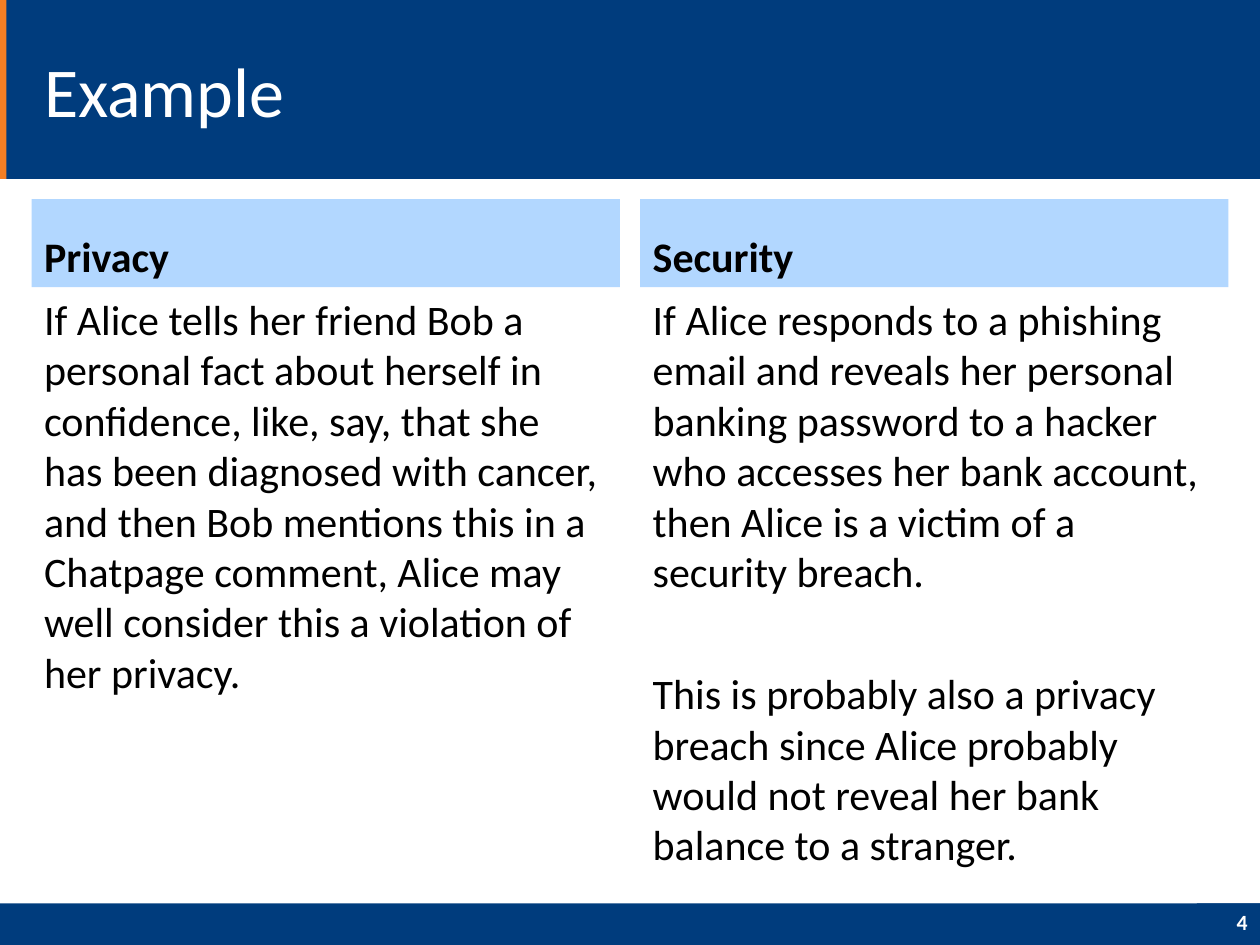
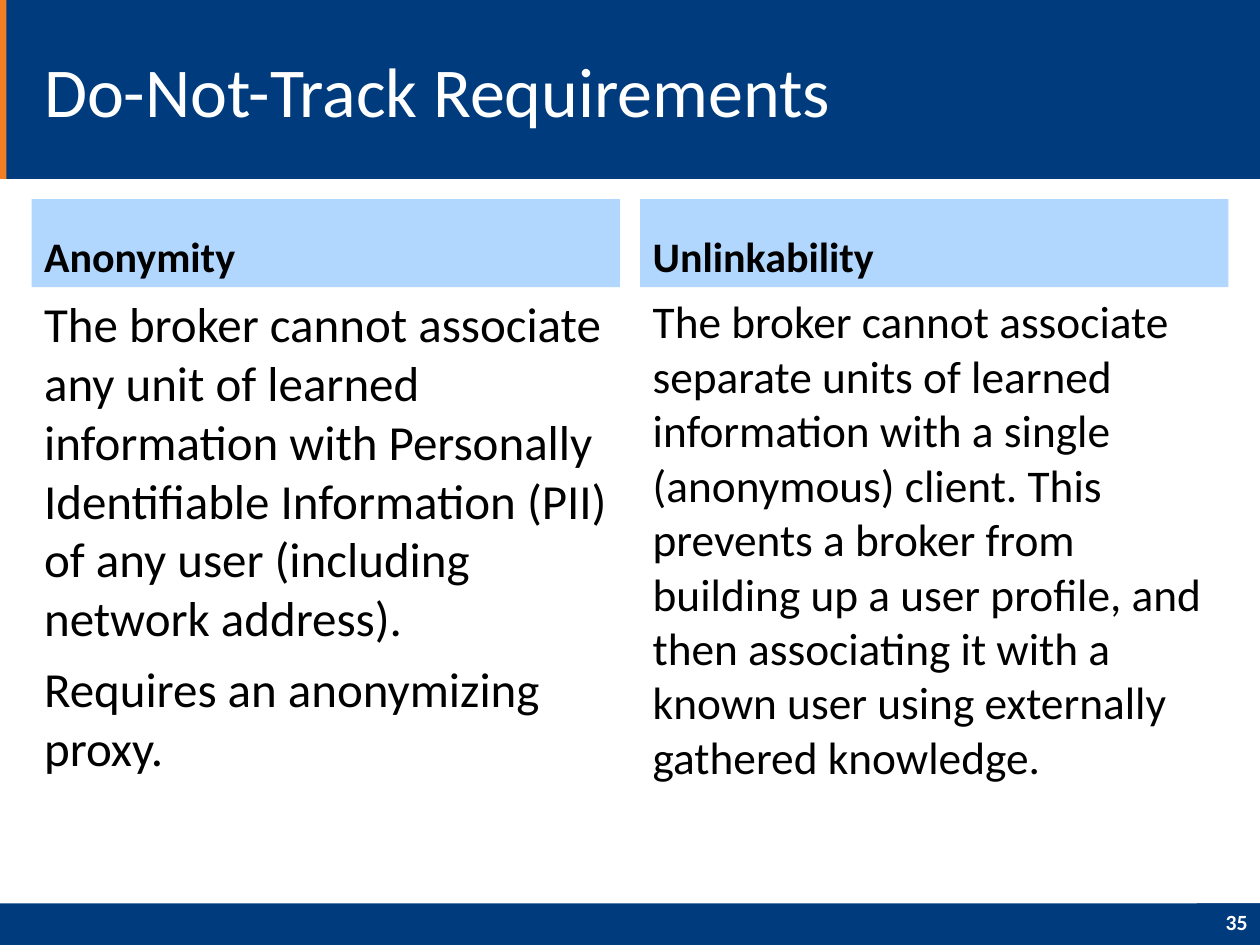
from dataclasses import dataclass

from lxml.etree import SubElement
from pptx import Presentation
from pptx.dml.color import RGBColor
from pptx.enum.shapes import MSO_SHAPE
from pptx.enum.text import MSO_ANCHOR, MSO_AUTO_SIZE, PP_ALIGN
from pptx.oxml.ns import qn
from pptx.util import Inches, Pt


@dataclass(frozen=True)
class Theme:
    font: str = "Calibri"
    navy: RGBColor = RGBColor(0x00, 0x3C, 0x7D)
    orange: RGBColor = RGBColor(0xF4, 0x7F, 0x24)
    pale_blue: RGBColor = RGBColor(0xB2, 0xD7, 0xFF)
    white: RGBColor = RGBColor(0xFF, 0xFF, 0xFF)
    black: RGBColor = RGBColor(0x00, 0x00, 0x00)
    title_size: float = 40
    heading_size: float = 24
    number_size: float = 12.4


WIDTH, HEIGHT = 10, 7.5
HEADER_HEIGHT, FOOTER_HEIGHT = 1.42, 0.33
FOOTER_TOP = HEIGHT - FOOTER_HEIGHT
MARGIN, COLUMN_WIDTH = 0.25, 4.67
COLUMN_LEFTS = (MARGIN, WIDTH - MARGIN - COLUMN_WIDTH)
HEADING_TOP, HEADING_HEIGHT = 1.58, 0.7
BODY_TOP, BODY_HEIGHT = HEADING_TOP + HEADING_HEIGHT, 4.72
COMPARISON_LAYOUT = 4


class DeckBuilder:
    def __init__(self, theme):
        self.theme = theme
        self.deck = Presentation()
        self.deck.slide_width = Inches(WIDTH)
        self.deck.slide_height = Inches(HEIGHT)
        self.page = None

    def start_page(self):
        self.page = self.deck.slides.add_slide(self.deck.slide_layouts[COMPARISON_LAYOUT])
        if len(self.deck.slides) == 1:
            self.master_bands()

    def master_bands(self):
        bands = [
            self.band(0, FOOTER_TOP, WIDTH, FOOTER_HEIGHT, self.theme.navy),
            self.band(0, 0, WIDTH, HEADER_HEIGHT, self.theme.navy),
            self.band(0, 0, 0.05, HEADER_HEIGHT, self.theme.orange),
        ]
        master_tree = self.deck.slide_master.shapes.element
        for position, band in enumerate(bands, start=2):
            master_tree.insert(position, band.element)

    def band(self, left, top, width, height, color):
        band = self.page.shapes.add_shape(
            MSO_SHAPE.RECTANGLE, Inches(left), Inches(top), Inches(width), Inches(height))
        band.shadow.inherit = False
        band.fill.solid()
        band.fill.fore_color.rgb = color
        band.line.fill.background()
        return band

    def place(self, box, left, top, width, height, anchor):
        box.left, box.top = Inches(left), Inches(top)
        box.width, box.height = Inches(width), Inches(height)
        box.text_frame.word_wrap = True
        box.text_frame.auto_size = MSO_AUTO_SIZE.NONE
        box.text_frame.vertical_anchor = anchor

    def add_text(self, para, text, size, color, bold=False, align=PP_ALIGN.LEFT, before=0):
        para.alignment = align
        para.space_before = Pt(before)
        properties = para._p.get_or_add_pPr()
        properties.set("marL", "0")
        properties.set("indent", "0")
        SubElement(properties, qn("a:buNone"))
        span = para.add_run()
        span.text = text
        span.font.name = self.theme.font
        span.font.size = Pt(size)
        span.font.bold = bold
        span.font.color.rgb = color

    def title(self, text):
        box = self.page.shapes.title
        self.place(box, MARGIN, 0.17, 7.33, 1.08, MSO_ANCHOR.MIDDLE)
        self.add_text(box.text_frame.paragraphs[0], text, self.theme.title_size,
                      self.theme.white)

    def heading(self, column, text):
        box = self.page.placeholders[1 + 2 * column]
        self.place(box, COLUMN_LEFTS[column], HEADING_TOP, COLUMN_WIDTH, HEADING_HEIGHT,
                   MSO_ANCHOR.BOTTOM)
        box.fill.solid()
        box.fill.fore_color.rgb = self.theme.pale_blue
        self.add_text(box.text_frame.paragraphs[0], text, self.theme.heading_size,
                      self.theme.black, bold=True, before=6)

    def body(self, column, texts, size, first_gap, next_gap):
        box = self.page.placeholders[2 + 2 * column]
        self.place(box, COLUMN_LEFTS[column], BODY_TOP, COLUMN_WIDTH, BODY_HEIGHT,
                   MSO_ANCHOR.TOP)
        frame = box.text_frame
        for index, text in enumerate(texts):
            para = frame.add_paragraph() if index else frame.paragraphs[0]
            self.add_text(para, text, size, self.theme.black,
                          before=next_gap if index else first_gap)

    def page_number(self, number):
        box = self.band(WIDTH - 0.5, FOOTER_TOP, 0.5, FOOTER_HEIGHT, self.theme.navy)
        box.text_frame.vertical_anchor = MSO_ANCHOR.MIDDLE
        para = box.text_frame.paragraphs[0]
        para.line_spacing = 0.8
        self.add_text(para, str(number), self.theme.number_size, self.theme.white,
                      bold=True, align=PP_ALIGN.RIGHT)

    def comparison(self, title, number, columns):
        self.start_page()
        self.title(title)
        for column, (heading, *content) in enumerate(columns):
            self.heading(column, heading)
            self.body(column, *content)
        self.page_number(number)


def main():
    builder = DeckBuilder(Theme())
    builder.comparison("Example", 4, [
        ("Privacy", [
            "If Alice tells her friend Bob a personal fact about herself in confidence, "
            "like, say, that she has been diagnosed with cancer, and then Bob mentions "
            "this in a Chatpage comment, Alice may well consider this a violation of "
            "her privacy.",
        ], 24, 6, 6),
        ("Security", [
            "If Alice responds to a phishing email and reveals her personal banking "
            "password to a hacker who accesses her bank account, then Alice is a victim "
            "of a security breach.",
            "This is probably also a privacy breach since Alice probably would not "
            "reveal her bank balance to a stranger.",
        ], 24, 6, 41),
    ])
    builder.comparison("Do-Not-Track Requirements", 35, [
        ("Anonymity", [
            "The broker cannot associate any unit of learned information with Personally "
            "Identifiable Information (PII) of any user (including network address).",
            "Requires an anonymizing proxy.",
        ], 28, 7, 7),
        ("Unlinkability", [
            "The broker cannot associate separate units of learned information with a "
            "single (anonymous) client. This prevents a broker from building up a user "
            "profile, and then associating it with a known user using externally "
            "gathered knowledge.",
        ], 25.9, 7, 7),
    ])
    builder.deck.save("out.pptx")


if __name__ == "__main__":
    main()
